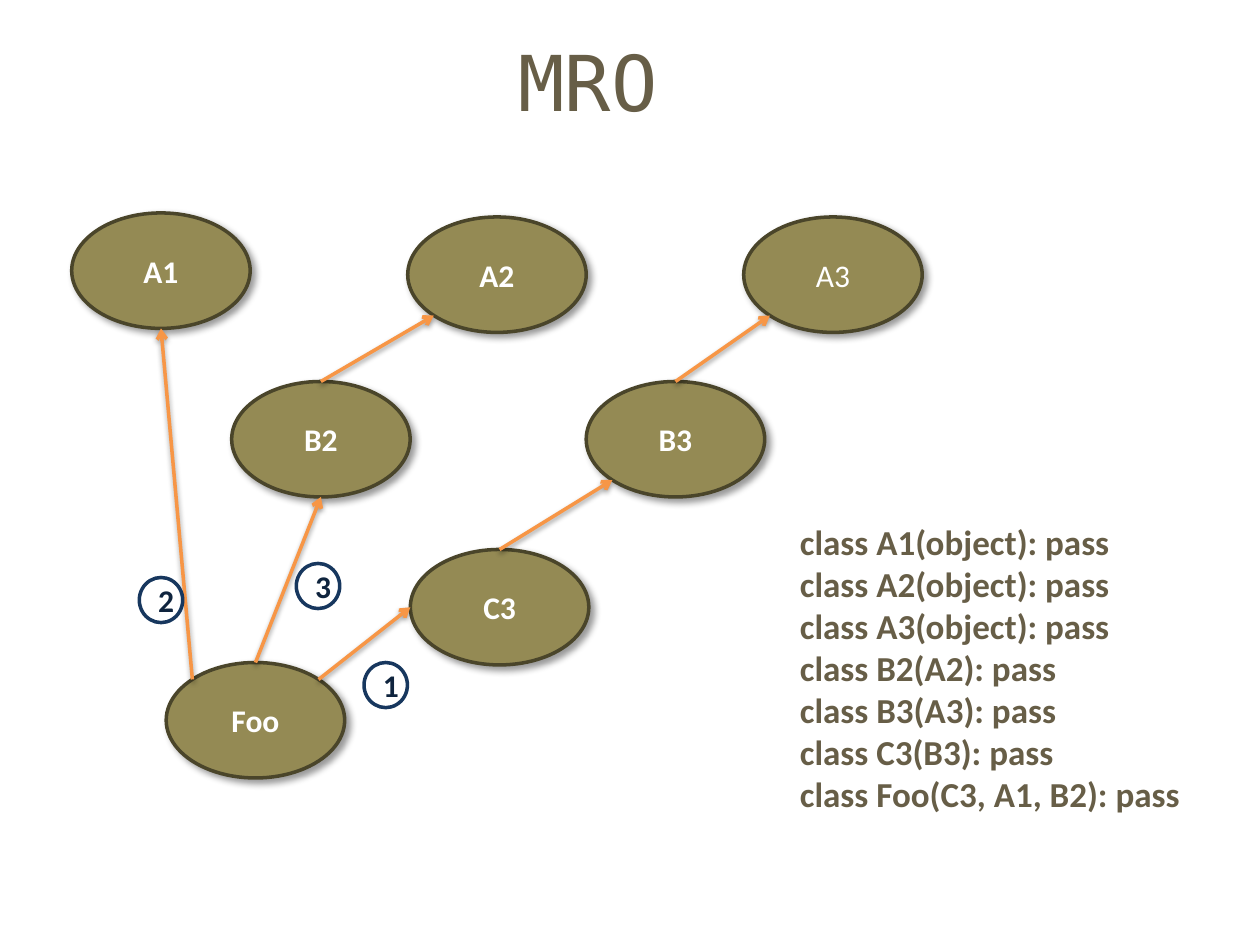
import math
import pptx
import pptx.dml.color
import pptx.enum.shapes
import pptx.enum.text
import pptx.oxml
import pptx.oxml.ns
import pptx.util

Pt = pptx.util.Pt
RGB = pptx.dml.color.RGBColor
Shape = pptx.enum.shapes.MSO_SHAPE
Align = pptx.enum.text.PP_ALIGN
Anchor = pptx.enum.text.MSO_ANCHOR

BROWN = RGB(0x67, 0x5E, 0x47)
OLIVE = RGB(0x94, 0x8A, 0x54)
DARK = RGB(0x4A, 0x45, 0x2A)
ORANGE = RGB(0xF7, 0x96, 0x46)
NAVY = RGB(0x17, 0x37, 0x5E)
INK = RGB(0x0F, 0x24, 0x3E)
WHITE = RGB(0xFF, 0xFF, 0xFF)

TITLE = "MRO"
CODE = [
    "class A1(object): pass",
    "class A2(object): pass",
    "class A3(object): pass",
    "class B2(A2): pass",
    "class B3(A3): pass",
    "class C3(B3): pass",
    "class Foo(C3, A1, B2): pass",
]

# Class: left, top, bold
NODES = {
    "A1": (41, 121.7, True),
    "A2": (233, 124, True),
    "A3": (425, 124, False),
    "B2": (132.4, 218, True),
    "B3": (335, 218, True),
    "C3": (234.5, 314, True),
    "Foo": (95, 378.6, True),
}
NODE_W, NODE_H = 102, 66

# Subclass, its side, base class, its side
LINKS = [
    ("B2", "top", "A2", "low left"),
    ("B3", "top", "A3", "low left"),
    ("C3", "top", "B3", "low left"),
    ("Foo", "top left", "A1", "low"),
    ("Foo", "top right", "C3", "left"),
    ("Foo", "top", "B2", "low"),
]
DIAG = math.sqrt(0.5)
SIDES = {
    "top": (0, -1), "low": (0, 1), "left": (-1, 0),
    "top left": (-DIAG, -DIAG), "top right": (DIAG, -DIAG),
    "low left": (-DIAG, DIAG),
}

# Search order: number, left, top
STEPS = [("1", 208, 378.6), ("3", 169.3, 322), ("2", 79.6, 330)]
STEP_W, STEP_H = 24.8, 25.8


def write(shape, text, size=18, color=WHITE, bold=False, font="Calibri",
          align=Align.CENTER, anchor=Anchor.MIDDLE):
    frame = shape.text_frame
    frame.word_wrap = True
    frame.vertical_anchor = anchor
    par = frame.paragraphs[0]
    par.alignment = align
    for i, line in enumerate(text.split("\n")):
        if i:
            par.add_line_break()
        run = par.add_run()
        run.text = line
        run.font.size = Pt(size)
        run.font.name = font
        run.font.bold = bold
        run.font.color.rgb = color


def shade(shape, alpha, blur, dist, angle):
    """Give the shape a soft black outer shadow."""
    shape._element.spPr.append(pptx.oxml.parse_xml(
        f'<a:effectLst {pptx.oxml.ns.nsdecls("a")}>'
        f'<a:outerShdw blurRad="{Pt(blur)}" dist="{Pt(dist)}" '
        f'dir="{angle * 60000}" rotWithShape="0"><a:srgbClr val="000000">'
        f'<a:alpha val="{alpha * 1000}"/></a:srgbClr></a:outerShdw>'
        '</a:effectLst>'))


def oval(slide, kind, box, line, fill=None):
    shape = slide.shapes.add_shape(kind, *map(Pt, box))
    if fill is None:
        shape.fill.background()
    else:
        shape.fill.solid()
        shape.fill.fore_color.rgb = fill
    shape.line.color.rgb = line
    shape.line.width = Pt(2)
    return shape


def spot(name, side):
    """Point on the rim of a class's ellipse."""
    left, top, _ = NODES[name]
    dx, dy = SIDES[side]
    return (Pt(left + NODE_W / 2 * (1 + dx)),
            Pt(top + NODE_H / 2 * (1 + dy)))


def link(slide, shapes, sub, start, base, end):
    line = slide.shapes.add_connector(
        pptx.enum.shapes.MSO_CONNECTOR.STRAIGHT,
        *spot(sub, start), *spot(base, end))
    if start == "top":
        line.begin_connect(shapes[sub], 0)
    line.line.color.rgb = ORANGE
    line.line.width = Pt(2)
    line.line._get_or_add_ln().append(pptx.oxml.parse_xml(
        f'<a:tailEnd {pptx.oxml.ns.nsdecls("a")} type="arrow"/>'))
    shade(line, 38, 3.1, 1.6, 90)


def main():
    deck = pptx.Presentation()
    deck.slide_width, deck.slide_height = Pt(720), Pt(540)
    slide = deck.slides.add_slide(deck.slide_layouts[6])

    code = slide.shapes.add_textbox(Pt(450), Pt(294), Pt(254), Pt(199))
    write(code, "\n".join(CODE), size=20, color=BROWN, bold=True,
          align=Align.LEFT, anchor=Anchor.TOP)
    title = slide.shapes.add_textbox(Pt(235), Pt(16), Pt(202), Pt(60))
    write(title, TITLE, size=44, color=BROWN, font="DejaVu Sans Mono",
          anchor=Anchor.TOP)

    shapes = {}
    for name, (left, top, bold) in NODES.items():
        node = oval(slide, Shape.OVAL, (left, top, NODE_W, NODE_H),
                    DARK, OLIVE)
        shade(node, 40, 4, 3, 45)
        write(node, name, bold=bold)
        shapes[name] = node

    for row in LINKS:
        link(slide, shapes, *row)

    for text, left, top in STEPS:
        step = oval(slide, Shape.FLOWCHART_CONNECTOR,
                    (left, top, STEP_W, STEP_H), NAVY)
        step.shadow.inherit = False
        write(step, text, color=INK, bold=True)

    deck.save("out.pptx")


if __name__ == "__main__":
    main()
